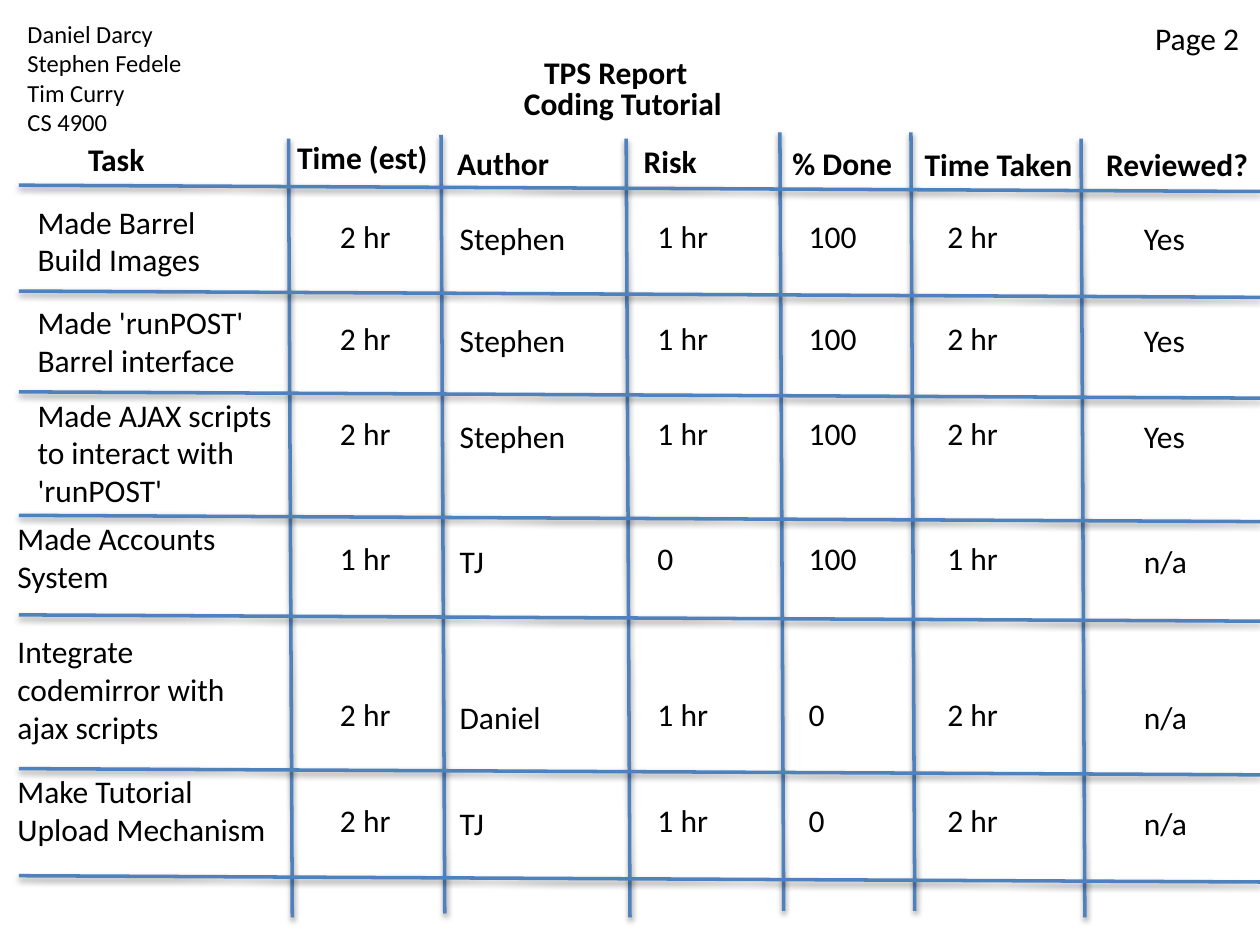
import pptx
import pptx.dml.color
import pptx.enum.shapes
import pptx.util
from pptx.util import Inches

BLACK = pptx.dml.color.RGBColor(0x00, 0x00, 0x00)
BLUE = pptx.dml.color.RGBColor(0x4F, 0x81, 0xBD)

presentation = pptx.Presentation()
presentation.slide_width = Inches(10)
presentation.slide_height = Inches(7.5)
slide = presentation.slides.add_slide(presentation.slide_layouts[6])


def add_text(lines, left, top, width, height=0.4, size=18, bold=False, wrap=True):
    box = slide.shapes.add_textbox(Inches(left), Inches(top), Inches(width), Inches(height))
    frame = box.text_frame
    frame.word_wrap = wrap
    for index, line in enumerate(lines):
        paragraph = frame.paragraphs[0] if index == 0 else frame.add_paragraph()
        run = paragraph.add_run()
        run.text = line
        run.font.name = "Calibri"
        run.font.size = pptx.util.Pt(size)
        run.font.bold = bold
        run.font.color.rgb = BLACK


def add_rule(left, top, right, bottom):
    # The connector keeps the soft theme shadow
    rule = slide.shapes.add_connector(
        pptx.enum.shapes.MSO_CONNECTOR.STRAIGHT,
        Inches(left), Inches(top), Inches(right), Inches(bottom))
    rule.line.color.rgb = BLUE
    rule.line.width = pptx.util.Pt(2)


# Title, team and page number
add_text(["TPS Report"], 4.22, 0.37, 1.37, bold=True)
add_text(["Coding Tutorial"], 4.06, 0.62, 1.83, bold=True, wrap=False)
add_text(["Daniel Darcy", "Stephen Fedele", "Tim Curry", "CS 4900"],
         0.12, 0.1, 1.9, height=0.8, size=14)
add_text(["Page 2"], 9.07, 0.1, 0.9, wrap=False)

# Slightly slanted column and row rules
for left, top in [(2.29, 1.1), (3.5, 1.07), (4.97, 1.1),
                  (6.19, 1.05), (7.23, 1.05), (8.58, 1.1)]:
    add_rule(left, top, left + 0.03, top + 6.18)
for top in [1.47, 2.31, 3.11, 4.09, 4.88, 6.1, 6.95]:
    add_rule(0.15, top, 10, top + 0.05)

# Column headings
headings = [
    ("Task", 0.6, 1.06),
    ("Time (est)", 2.26, 1.05),
    ("Author", 3.53, 1.09),
    ("Risk", 5.01, 1.08),
    ("% Done", 6.19, 1.09),
    ("Time Taken", 7.24, 1.1),
    ("Reviewed?", 8.68, 1.1),
]
for heading, left, top in headings:
    add_text([heading], left, top, 1.52, bold=True)

# Cell columns: left, width, drop below the row's top
columns = [(2.6, 0.6, 0), (3.55, 1.04, 0.02), (5.12, 0.6, 0),
           (6.32, 0.6, 0), (7.42, 0.69, 0), (8.98, 0.6, 0.02)]

# Task rows: task, its left, top and width, then the cells' top and values
rows = [
    ("Made Barrel Build Images", 0.2, 1.56, 1.8,
     1.67, ["2 hr", "Stephen", "1 hr", "100", "2 hr", "Yes"]),
    ("Made 'runPOST' Barrel interface", 0.2, 2.36, 2.3,
     2.48, ["2 hr", "Stephen", "1 hr", "100", "2 hr", "Yes"]),
    ("Made AJAX scripts to interact with 'runPOST'", 0.2, 3.09, 2.3,
     3.24, ["2 hr", "Stephen", "1 hr", "100", "2 hr", "Yes"]),
    ("Made Accounts System", 0.04, 4.07, 2.3,
     4.23, ["1 hr", "TJ", "0", "100", "1 hr", "n/a"]),
    ("Integrate codemirror with ajax scripts", 0.04, 4.97, 2.3,
     5.47, ["2 hr", "Daniel", "1 hr", "0", "2 hr", "n/a"]),
    ("Make Tutorial Upload Mechanism", 0.04, 6.08, 2.3,
     6.31, ["2 hr", "TJ", "1 hr", "0", "2 hr", "n/a"]),
]
for task, task_left, task_top, task_width, cell_top, values in rows:
    add_text([task], task_left, task_top, task_width)
    for value, (left, width, drop) in zip(values, columns):
        add_text([value], left, cell_top + drop, width, wrap=False)

presentation.save("out.pptx")
